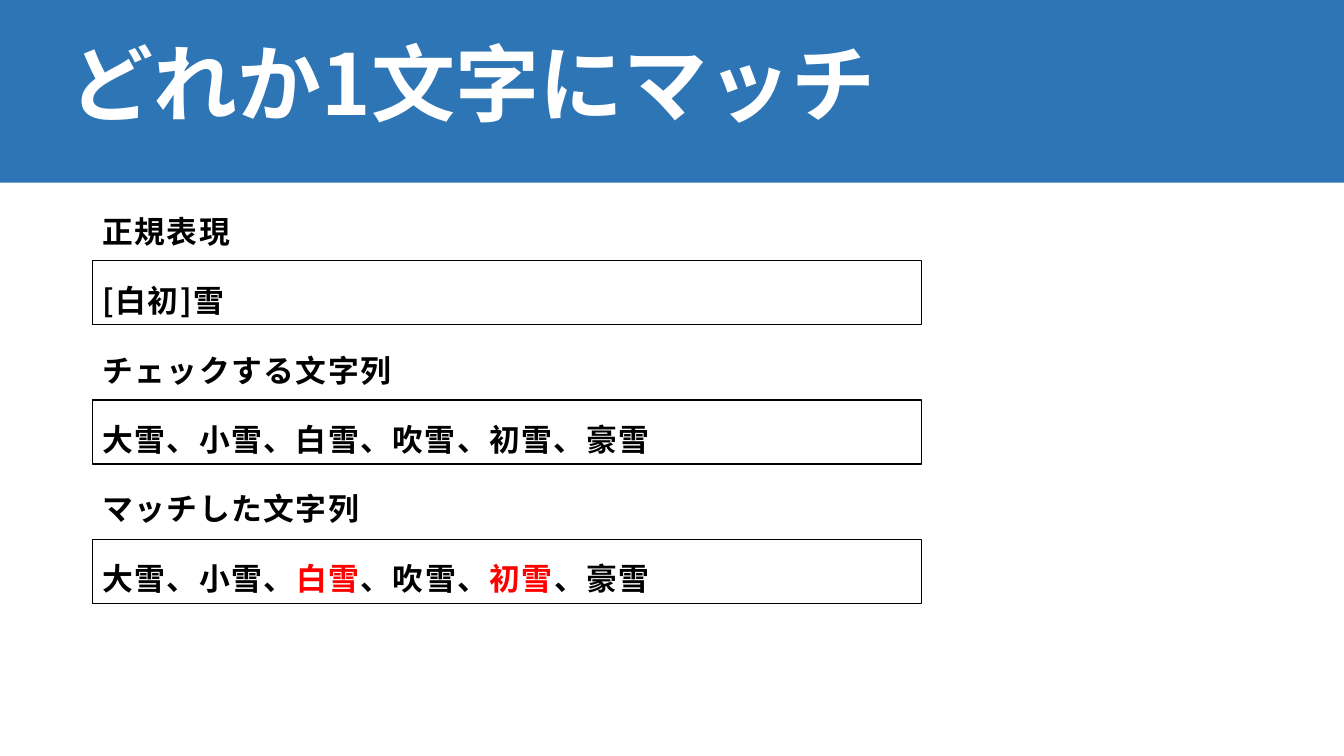
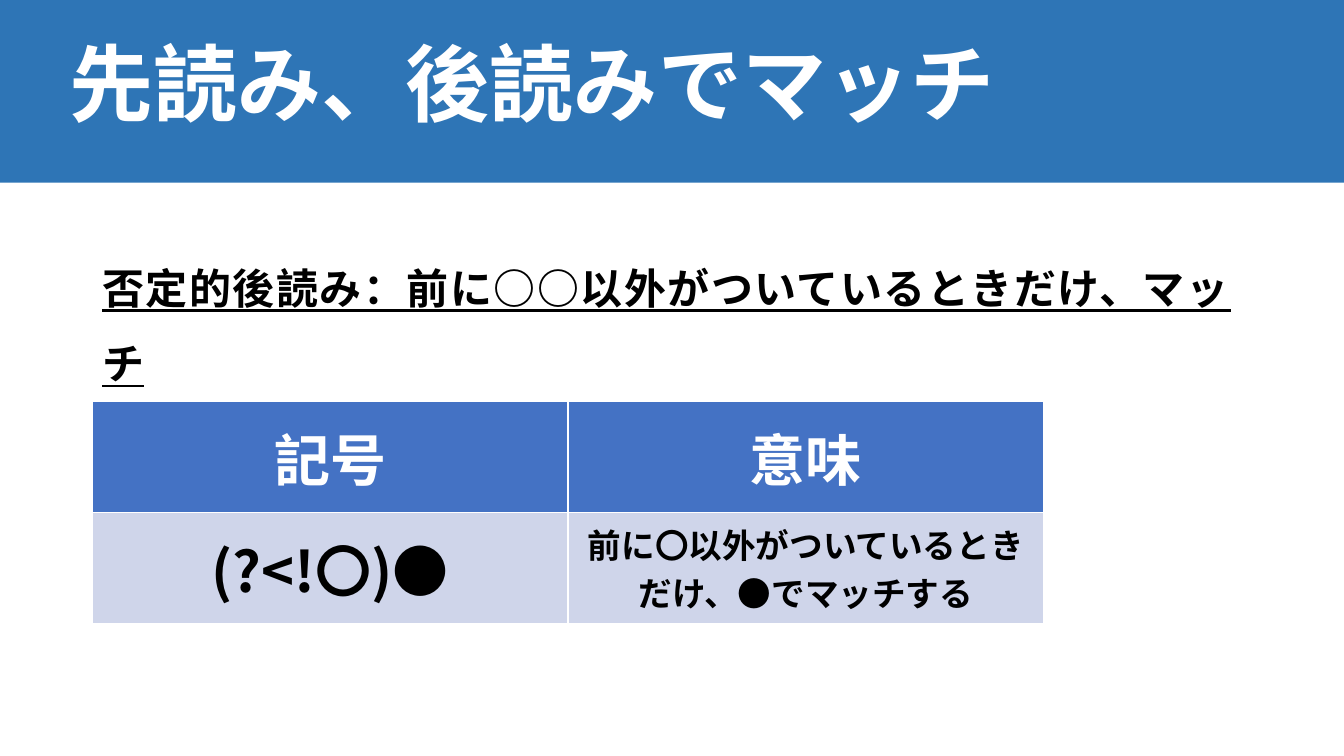
from dataclasses import dataclass

from lxml.etree import SubElement
from pptx import Presentation
from pptx.dml.color import RGBColor
from pptx.enum.shapes import MSO_SHAPE as Preset
from pptx.enum.text import MSO_ANCHOR as Anchor, MSO_AUTO_SIZE as AutoSize, PP_ALIGN as Align
from pptx.oxml.ns import qn
from pptx.util import Emu, Pt


@dataclass(frozen=True)
class Theme:
    """Colours, type sizes and font shared by the slides."""
    font: str = "Noto Sans CJK JP"
    band: RGBColor = RGBColor(0x2E, 0x75, 0xB6)
    header: RGBColor = RGBColor(0x44, 0x72, 0xC4)
    cell: RGBColor = RGBColor(0xCF, 0xD5, 0xEA)
    white: RGBColor = RGBColor(0xFF, 0xFF, 0xFF)
    black: RGBColor = RGBColor(0, 0, 0)
    match: RGBColor = RGBColor(0xFF, 0, 0)
    title_size: int = 60
    example_size: int = 22
    lead_size: int = 30
    table_size: int = 40
    meaning_size: int = 24
    body_tracking: int = 110


THEME = Theme()
SLIDE_WIDTH, SLIDE_HEIGHT = 1280, 720
BAND_HEIGHT = 174
TITLE_BOX = (57, 15, 1104, 139)
MARGIN, BODY_WIDTH, BODY_HEIGHT = 88, 1104, 457

EXAMPLE_LINES = [
    [("正規表現", False)],
    [("[白初]雪", False)],
    [("チェックする文字列", False)],
    [("大雪、小雪、白雪、吹雪、初雪、豪雪", False)],
    [("マッチした文字列", False)],
    [("大雪、小雪、", False), ("白雪", True), ("、吹雪、", False), ("初雪", True), ("、豪雪", False)],
]
LEAD_LINES = [[("否定的後読み：前に○○以外がついているときだけ、マッチ", False)]]
LOOKBEHIND_ROWS = [
    [("記号", THEME.table_size), ("意味", THEME.table_size)],
    [("(?<!〇)●", THEME.table_size),
     ("前に〇以外がついているときだけ、●でマッチする", THEME.meaning_size)],
]


def px(*lengths):
    """Turn pixel lengths into a list of EMU."""
    return [Emu(length * 9525) for length in lengths]


def style_paragraph(paragraph, size, color, align=Align.LEFT):
    """Give a paragraph the bold theme font and return that font."""
    paragraph.alignment = align
    font = paragraph.font
    font.size, font.bold, font.name = Pt(size), True, THEME.font
    font.color.rgb = color
    properties = paragraph._p.pPr.find(qn("a:defRPr"))
    SubElement(properties, qn("a:ea"), typeface=THEME.font)
    return font


def add_rectangle(slide, box, fill=None, line=None):
    """Add a plain rectangle with an optional fill and outline."""
    shape = slide.shapes.add_shape(Preset.RECTANGLE, *px(*box))
    shape.shadow.inherit = False
    if fill is None:
        shape.fill.background()
    else:
        shape.fill.solid()
        shape.fill.fore_color.rgb = fill
    if line is None:
        shape.line.fill.background()
    else:
        shape.line.color.rgb = line
        shape.line.width = Pt(1)
    return shape


def add_titled_slide(presentation, text):
    """Add a slide with the blue band behind its title."""
    slide = presentation.slides.add_slide(presentation.slide_layouts[5])
    title = slide.shapes.title
    band = add_rectangle(slide, (0, 0, SLIDE_WIDTH, BAND_HEIGHT), fill=THEME.band)
    title._element.addprevious(band._element)
    title.left, title.top, title.width, title.height = px(*TITLE_BOX)
    frame = title.text_frame
    frame.text = text
    frame.auto_size = AutoSize.NONE
    frame.vertical_anchor = Anchor.MIDDLE
    frame.paragraphs[0].line_spacing = 0.9
    style_paragraph(frame.paragraphs[0], THEME.title_size, THEME.white)
    return slide


def add_body(slide, box, lines, size, underline=None):
    """Add spaced paragraphs whose matched runs are red."""
    frame = slide.shapes.add_textbox(*px(*box)).text_frame
    frame.word_wrap = True
    for index, runs in enumerate(lines):
        paragraph = frame.add_paragraph() if index else frame.paragraphs[0]
        paragraph.line_spacing, paragraph.space_before = 1.5, Pt(10)
        font = style_paragraph(paragraph, size, THEME.black)
        font.underline = underline
        paragraph._p.pPr.find(qn("a:defRPr")).set("spc", str(THEME.body_tracking))
        for text, matched in runs:
            run = paragraph.add_run()
            run.text = text
            if matched:
                run.font.color.rgb = THEME.match


def add_examples(slide, box):
    """Place labels and strings, with a frame round each string."""
    left, top, _, _ = box
    add_body(slide, box, EXAMPLE_LINES, THEME.example_size)
    for index in range(len(EXAMPLE_LINES) // 2):
        add_rectangle(slide, (left, top + 68 + index * 133, 790, 61), line=THEME.black)


def add_symbol_table(slide, box, rows):
    """Add a table with a blue header and pale body cells."""
    table = slide.shapes.add_table(len(rows), len(rows[0]), *px(*box)).table
    for row_index, row in enumerate(rows):
        is_header = row_index == 0
        for column_index, (text, size) in enumerate(row):
            cell = table.cell(row_index, column_index)
            cell.text = text
            cell.vertical_anchor = Anchor.MIDDLE
            cell.fill.solid()
            cell.fill.fore_color.rgb = THEME.header if is_header else THEME.cell
            color = THEME.white if is_header else THEME.black
            style_paragraph(cell.text_frame.paragraphs[0], size, color, Align.CENTER)


def main():
    """Build and save both slides."""
    presentation = Presentation()
    presentation.slide_width, presentation.slide_height = px(SLIDE_WIDTH, SLIDE_HEIGHT)

    slide = add_titled_slide(presentation, "どれか1文字にマッチ")
    add_examples(slide, (MARGIN, 180, BODY_WIDTH, BODY_HEIGHT))

    slide = add_titled_slide(presentation, "先読み、後読みでマッチ")
    add_body(slide, (MARGIN, 221, BODY_WIDTH, BODY_HEIGHT), LEAD_LINES, THEME.lead_size, underline=True)
    add_symbol_table(slide, (MARGIN, 382, 906, 212), LOOKBEHIND_ROWS)

    presentation.save("out.pptx")


if __name__ == "__main__":
    main()
